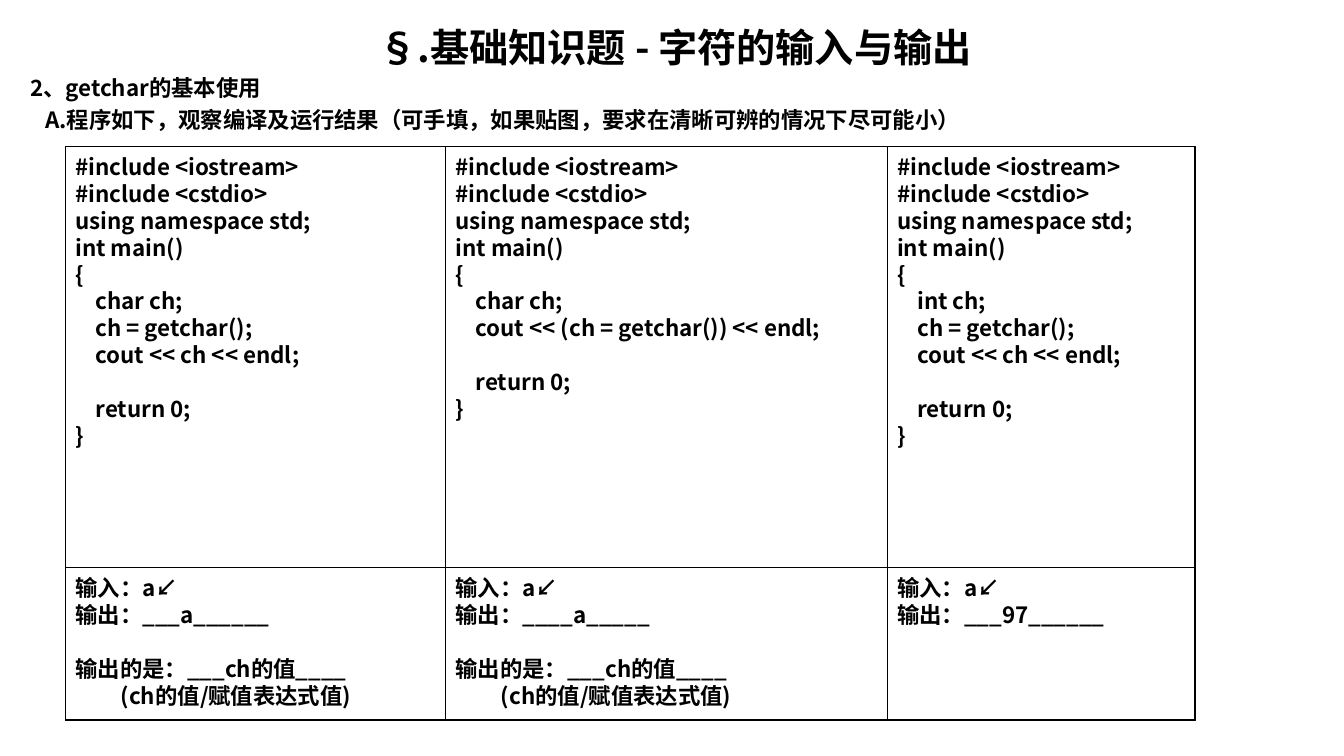
"""Build a slide with a grid of getchar exercises."""
from lxml.etree import SubElement
from pptx import Presentation
from pptx.dml.color import RGBColor
from pptx.enum.shapes import MSO_SHAPE
from pptx.enum.text import MSO_ANCHOR, PP_ALIGN
from pptx.oxml.ns import qn
from pptx.util import Inches, Pt

FONT = "Noto Sans CJK SC"
BLACK = "000000"
LINE = 19.2
SPACE = 0.05


def rgb(value):
    return RGBColor.from_string(value)


def write(tf, text, size=16, gap=0, align=PP_ALIGN.LEFT):
    tf.word_wrap, tf.vertical_anchor = True, MSO_ANCHOR.TOP
    p, before = tf.paragraphs[0], 0
    for i, line in enumerate(text.split("\n")):
        if not line:
            before += LINE
            continue
        if i:
            p = tf.add_paragraph()
        words = line.lstrip()
        fmt = {"alignment": align, "line_spacing": Pt(size * LINE / 16),
               "space_before": Pt(before), "space_after": Pt(gap)}
        for name, value in fmt.items():
            setattr(p, name, value)
        pPr = p._p.get_or_add_pPr()
        pPr.set("marL", str(Inches(SPACE * (len(line) - len(words)))))
        pPr.set("indent", "0")
        r = p.add_run()
        r.text = words
        for name, value in {"name": FONT, "size": Pt(size), "bold": True}.items():
            setattr(r.font, name, value)
        r.font.color.rgb = rgb(BLACK)
        SubElement(r._r.get_or_add_rPr(), qn("a:ea"), typeface=FONT)
        before = 0


prs = Presentation()
prs.slide_width, prs.slide_height = Inches(13.33), Inches(7.5)
s = prs.slides.add_slide(prs.slide_layouts[5])

title = s.shapes.title
place = {"left": 0.2, "top": 0.18, "width": 12.99, "height": 0.58}
for name, value in place.items():
    setattr(title, name, Inches(value))
write(title.text_frame, "§.基础知识题 - 字符的输入与输出", 28, align=PP_ALIGN.CENTER)

intro = s.shapes.add_textbox(Inches(0.2), Inches(0.69), Inches(12.99), Inches(0.7))
write(intro.text_frame, """2、getchar的基本使用
   A.程序如下，观察编译及运行结果（可手填，如果贴图，要求在清晰可辨的情况下尽可能小）""", gap=3.2)

program = """#include <iostream>
#include <cstdio>
using namespace std;
int main()
{{
    {} ch;
{}

    return 0;
}}"""
two_steps = "    ch = getchar();\n    cout << ch << endl;"
one_step = "    cout << (ch = getchar()) << endl;"
answer = "输入：a↙\n输出："
question = """

输出的是：___ch的值____
         (ch的值/赋值表达式值)"""
columns = [
    (3.77, program.format("char", two_steps), answer + "___a______" + question),
    (4.38, program.format("char", one_step), answer + "____a_____" + question),
    (3.05, program.format("int", two_steps), answer + "___97______"),
]

left, top, height = 0.65, 1.45, 5.7
answer_top, answer_height = 5.63, 1.51
boxes = [(left, top, 11.21, height, "")]
for width, code, reply in columns:
    boxes.append((left, top, width, height, code))
    boxes.append((left, answer_top, width, answer_height, reply))
    left += width

for *lengths, text in boxes:
    sp = s.shapes.add_shape(MSO_SHAPE.RECTANGLE, *map(Inches, lengths))
    sp.shadow.inherit = False
    sp.fill.background()
    sp.line.color.rgb = rgb(BLACK)
    sp.line.width = Pt(0.75)
    if text:
        sp.text_frame.margin_top = Inches(0.07)
        write(sp.text_frame, text)

prs.save("out.pptx")
